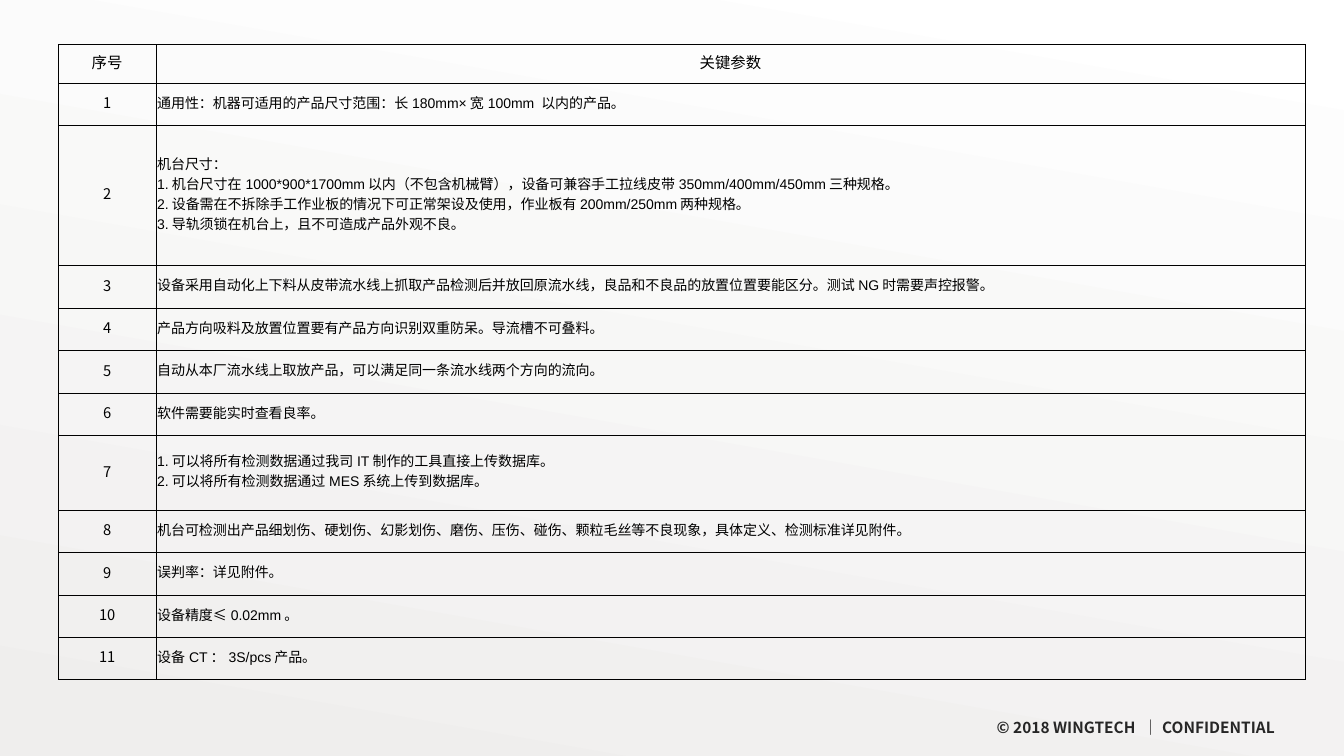
from lxml import etree
from pptx import Presentation
from pptx.dml.color import RGBColor
from pptx.enum.text import MSO_ANCHOR, PP_ALIGN
from pptx.oxml.ns import qn
from pptx.util import Cm, Pt

MIDDLE = MSO_ANCHOR.MIDDLE
LEFT, CENTER, RIGHT = PP_ALIGN.LEFT, PP_ALIGN.CENTER, PP_ALIGN.RIGHT

HEX = {"top": "FFFFFF", "low": "EFEEED", "ink": "000000", "foot": "262626"}
SANS = "Noto Sans CJK SC"
HEAD = {"name": "Arial", "size": Pt(11)}
NUM = {"name": SANS, "size": Pt(10.5)}
BODY = {"name": "Arial", "size": Pt(10)}
FOOT = {"name": "Noto Sans CJK TC", "size": Pt(11), "bold": True}

# Row height in cm for each number of text lines
HIGH = {1: 1.07, 2: 1.88, 4: 3.53}
TITLES = ["序号", "关键参数"]
ITEMS = [
    ["通用性：机器可适用的产品尺寸范围：长180mm×宽100mm 以内的产品。"],
    ["机台尺寸：",
     "1.机台尺寸在1000*900*1700mm以内（不包含机械臂），设备可兼容手工拉线皮带350mm/400mm/450mm三种规格。",
     "2.设备需在不拆除手工作业板的情况下可正常架设及使用，作业板有200mm/250mm两种规格。",
     "3.导轨须锁在机台上，且不可造成产品外观不良。"],
    ["设备采用自动化上下料从皮带流水线上抓取产品检测后并放回原流水线，良品和不良品的放置位置要能区分。测试NG时需要声控报警。"],
    ["产品方向吸料及放置位置要有产品方向识别双重防呆。导流槽不可叠料。"],
    ["自动从本厂流水线上取放产品，可以满足同一条流水线两个方向的流向。"],
    ["软件需要能实时查看良率。"],
    ["1.可以将所有检测数据通过我司IT制作的工具直接上传数据库。",
     "2.可以将所有检测数据通过MES系统上传到数据库。"],
    ["机台可检测出产品细划伤、硬划伤、幻影划伤、磨伤、压伤、碰伤、颗粒毛丝等不良现象，具体定义、检测标准详见附件。"],
    ["误判率：详见附件。"],
    ["设备精度≤0.02mm。"],
    ["设备CT：3S/pcs产品。"],
]


def write(frame, lines, form, align, ink="ink"):
    for i, line in enumerate(lines):
        para = frame.paragraphs[0] if i == 0 else frame.add_paragraph()
        para.alignment = align
        run = para.add_run()
        run.text = line
        for key, value in form.items():
            setattr(run.font, key, value)
        run.font.color.rgb = RGBColor.from_string(HEX[ink])
        # East Asian typeface
        face = form["name"] if "Noto" in form["name"] else SANS
        etree.SubElement(run.font._element, qn("a:ea")).set("typeface", face)


def border(cell):
    props = cell._tc.get_or_add_tcPr()
    for side in ("lnL", "lnR", "lnT", "lnB"):
        line = etree.SubElement(props, qn("a:" + side), w=str(Pt(0.5)))
        fill = etree.SubElement(line, qn("a:solidFill"))
        etree.SubElement(fill, qn("a:srgbClr"), val=HEX["ink"])


def put(cell, lines, form, align):
    look = {"margin_left": Cm(0.03), "margin_right": Cm(0.03),
            "margin_top": Cm(0.03), "margin_bottom": Cm(0.13),
            "vertical_anchor": MIDDLE}
    for key, value in look.items():
        setattr(cell, key, value)
    border(cell)
    cell.fill.background()
    write(cell.text_frame, lines, form, align)


def backdrop(slide):
    fill = slide.background.fill
    fill.gradient()
    fill.gradient_angle = 260
    for stop, name in zip(fill.gradient_stops, ("top", "low")):
        stop.color.rgb = RGBColor.from_string(HEX[name])


def grid(slide, left, top, width):
    highs = [0.97] + [HIGH[len(item)] for item in ITEMS]
    table = slide.shapes.add_table(
        len(highs), 2, Cm(left), Cm(top), Cm(width), Cm(sum(highs))).table
    table.first_row = table.horz_banding = False
    first = 2.46
    for col, wide in zip(table.columns, (first, width - first)):
        col.width = Cm(wide)
    for row, high in zip(table.rows, highs):
        row.height = Cm(high)
    # Heading row, then numbered rows
    for col, title in enumerate(TITLES):
        put(table.cell(0, col), [title], HEAD, CENTER)
    for i, item in enumerate(ITEMS, 1):
        put(table.cell(i, 0), [str(i)], NUM, CENTER)
        put(table.cell(i, 1), item, BODY, LEFT)


def footer(slide, left, top, width, height):
    box = slide.shapes.add_textbox(Cm(left), Cm(top), Cm(width), Cm(height))
    frame = box.text_frame
    frame.word_wrap = True
    frame.margin_right = Cm(0.46)
    write(frame, ["© 2018 WINGTECH ｜CONFIDENTIAL"], FOOT, RIGHT, "foot")


def main():
    deck = Presentation()
    deck.slide_width, deck.slide_height = Cm(33.87), Cm(19.05)
    slide = deck.slides.add_slide(deck.slide_layouts[6])
    backdrop(slide)
    grid(slide, 1.47, 1.12, 31.42)
    footer(slide, 20.65, 17.96, 11.94, 0.74)
    deck.save("out.pptx")


if __name__ == "__main__":
    main()
